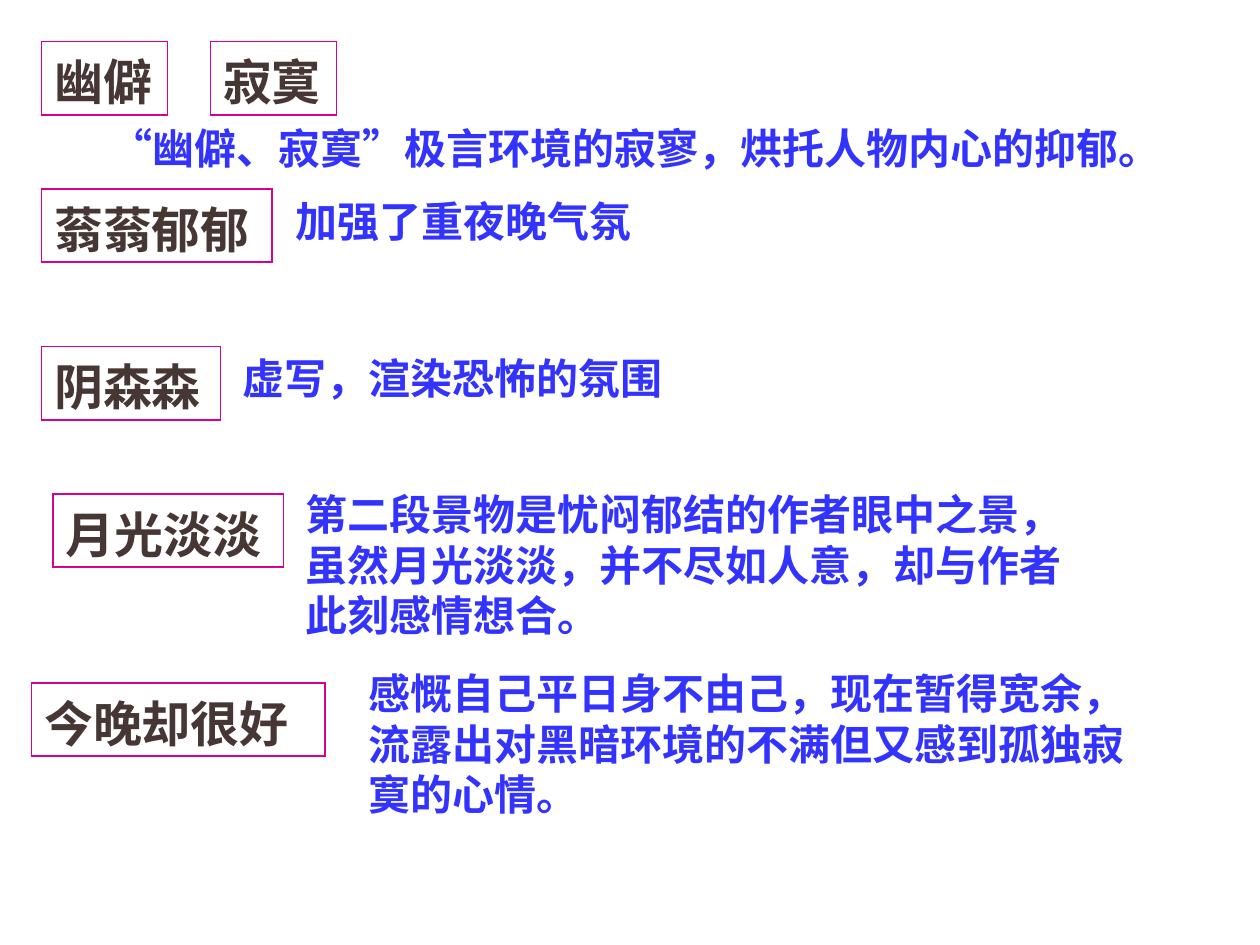
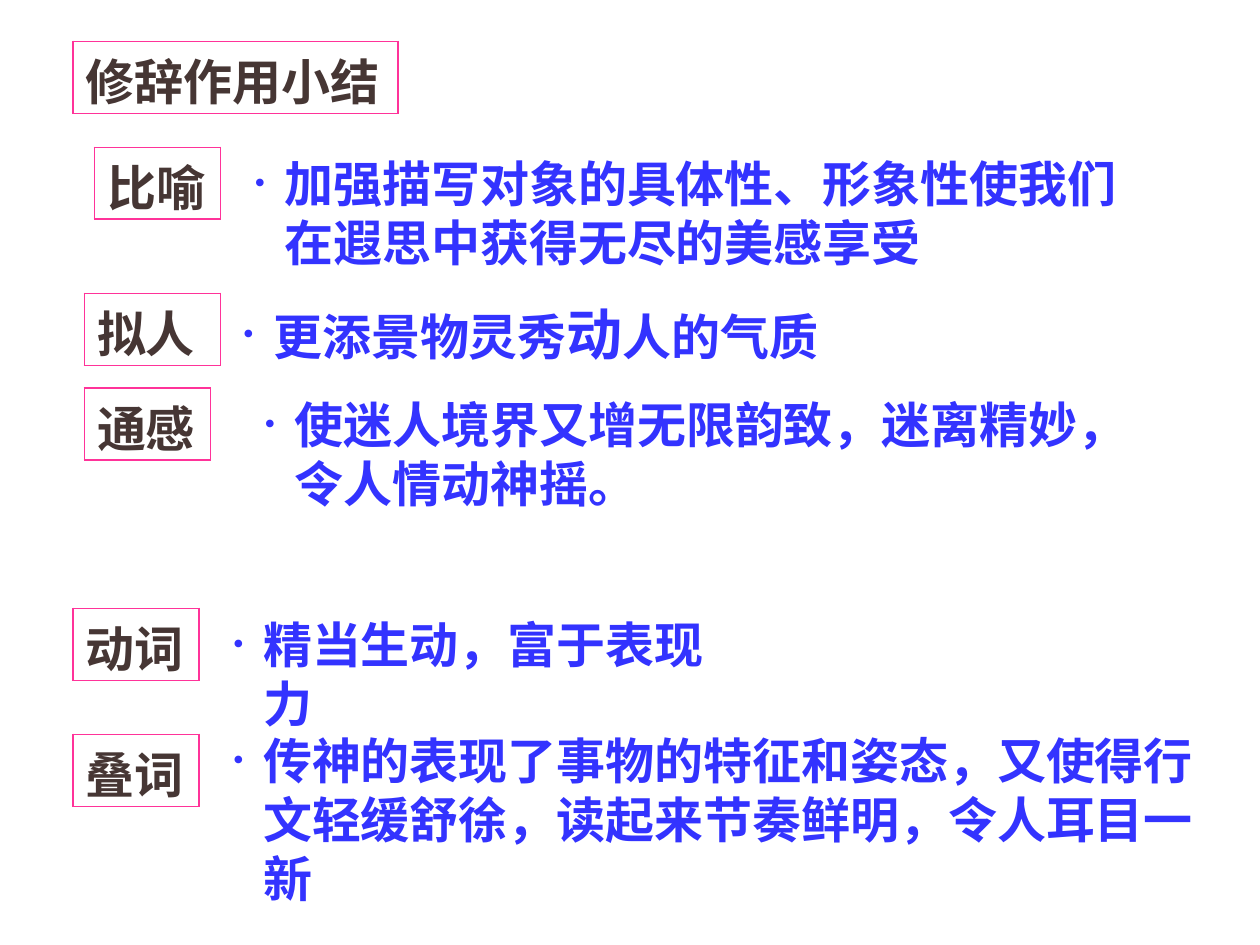
from dataclasses import dataclass

from lxml import etree
from pptx import Presentation
from pptx.dml.color import RGBColor
from pptx.enum import text as t
from pptx.oxml import ns
from pptx.util import Inches, Pt


@dataclass(frozen=True)
class Theme:
    font: str = "Times New Roman"
    label_color: str = "463634"
    note_color: str = "3333FF"
    word_border: str = "D60093"
    device_border: str = "FF3399"
    label_size: int = 28
    note_size: int = 24
    point_size: int = 28
    accent_size: int = 32
    border_width: float = 1.08


THEME = Theme()
ROW_HEIGHT = 0.57
HANGING = 0.24

# Word labels: left, top, width, wording
WORDS = [
    (0.33, 0.33, 1, "幽僻"),
    (1.67, 0.33, 1, "寂寞"),
    (0.33, 1.5, 1.83, "蓊蓊郁郁"),
    (0.33, 2.75, 1.42, "阴森森"),
    (0.42, 3.92, 1.83, "月光淡淡"),
    (0.25, 5.42, 2.33, "今晚却很好"),
]

# Explanations: left, top, width, height, first-line indent, wording
NOTES = [
    (0.33, 0.92, 9, 0.5, 0.45, "“幽僻、寂寞”极言环境的寂寥，烘托人物内心的抑郁。"),
    (2.25, 1.5, 3.5, 0.5, 0, "加强了重夜晚气氛"),
    (1.83, 2.75, 3.92, 0.5, 0, "虚写，渲染恐怖的氛围"),
    (2.33, 3.83, 6.5, 1.3, 0,
     "第二段景物是忧闷郁结的作者眼中之景，虽然月光淡淡，并不尽如人意，却与作者此刻感情想合。"),
    (2.83, 5.25, 6.5, 1.3, 0,
     "感慨自己平日身不由己，现在暂得宽余，流露出对黑暗环境的不满但又感到孤独寂寞的心情。"),
]

# Rhetorical devices: left, top, width, wording
DEVICES = [
    (0.58, 0.33, 2.58, "修辞作用小结"),
    (0.75, 1.17, 1, "比喻"),
    (0.67, 2.33, 1.08, "拟人"),
    (0.67, 3.08, 1, "通感"),
    (0.58, 4.83, 1, "动词"),
    (0.58, 5.83, 1, "叠词"),
]

# Effects: left, top, width, height, pieces of wording with their sizes
EFFECTS = [
    (1.92, 1.17, 7.33, 1.04,
     [("加强描写对象的具体性、形象性使我们在遐思中获得无尽的美感享受", THEME.point_size)]),
    (1.83, 2.33, 5.08, 0.64,
     [("更添景物灵秀", THEME.point_size), ("动", THEME.accent_size),
      ("人的气质", THEME.point_size)]),
    (2, 3.08, 7.35, 1.04,
     [("使迷人境界又增无限韵致，迷离精妙，令人情动神摇。", THEME.point_size)]),
    (1.75, 4.83, 4.25, 1.04, [("精当生动，富于表现力", THEME.point_size)]),
    (1.75, 5.75, 7.92, 1.5,
     [("传神的表现了事物的特征和姿态，又使得行文轻缓舒徐，读起来节奏鲜明，令人耳目一新",
       THEME.point_size)]),
]


def add_text(paragraph, wording, *, size, color, bold=True):
    run = paragraph.add_run()
    run.text = wording
    run.font.name = THEME.font
    run.font.size = Pt(size)
    run.font.bold = bold
    run.font.color.rgb = RGBColor.from_string(color)


def add_child(parent, tag, **attributes):
    child = etree.SubElement(parent, ns.qn(tag))
    for key, value in attributes.items():
        child.set(key, str(value))
    return child


def set_indent(paragraph, left, first):
    properties = paragraph._p.get_or_add_pPr()
    properties.set("marL", str(Inches(left)))
    properties.set("indent", str(Inches(first)))
    return properties


def set_bullet(paragraph):
    properties = set_indent(paragraph, HANGING, -HANGING)
    bullet_color = add_child(properties, "a:buClr")
    add_child(bullet_color, "a:srgbClr", val=THEME.note_color)
    add_child(properties, "a:buSzPct", val=65000)
    add_child(properties, "a:buFont", typeface=THEME.font)
    add_child(properties, "a:buChar", char="•")


def set_borders(cell, color):
    properties = cell._tc.get_or_add_tcPr()
    for position, side in enumerate(("a:lnL", "a:lnR", "a:lnT", "a:lnB")):
        edge = etree.Element(ns.qn(side), w=str(Pt(THEME.border_width)))
        add_child(add_child(edge, "a:solidFill"), "a:srgbClr", val=color)
        properties.insert(position, edge)


def add_label(slide, left, top, width, wording, border):
    table = slide.shapes.add_table(
        1, 1, Inches(left), Inches(top), Inches(width), Inches(ROW_HEIGHT)).table
    table.first_row = table.horz_banding = False
    cell = table.cell(0, 0)
    cell.fill.background()
    cell.margin_left = cell.margin_right = Inches(0.1)
    # Small vertical margins keep the line of text inside the row
    cell.margin_top, cell.margin_bottom = Inches(0.02), 0
    set_borders(cell, border)
    add_text(cell.text_frame.paragraphs[0], wording,
             size=THEME.label_size, color=THEME.label_color)


def add_box(slide, left, top, width, height):
    """Add a wrapping text box and return its first paragraph."""
    frame = slide.shapes.add_textbox(
        Inches(left), Inches(top), Inches(width), Inches(height)).text_frame
    frame.word_wrap = True
    frame.auto_size = t.MSO_AUTO_SIZE.SHAPE_TO_FIT_TEXT
    return frame.paragraphs[0]


def add_note(slide, left, top, width, height, indent, wording):
    note = add_box(slide, left, top, width, height)
    if indent:
        set_indent(note, 0, indent)
    add_text(note, wording, size=THEME.note_size, color=THEME.note_color)


def add_effect(slide, left, top, width, height, pieces):
    effect = add_box(slide, left, top, width, height)
    set_bullet(effect)
    for wording, size in pieces:
        add_text(effect, wording, size=size, color=THEME.note_color)


def main():
    deck = Presentation()
    deck.slide_width, deck.slide_height = Inches(10), Inches(7.5)
    blank = deck.slide_layouts[6]

    # Scenery words and what they express
    scenery = deck.slides.add_slide(blank)
    for word in WORDS:
        add_label(scenery, *word, THEME.word_border)
    for note in NOTES:
        add_note(scenery, *note)

    # Summary of rhetorical devices
    summary = deck.slides.add_slide(blank)
    for device in DEVICES:
        add_label(summary, *device, THEME.device_border)
    for effect in EFFECTS:
        add_effect(summary, *effect)

    deck.save("out.pptx")


if __name__ == "__main__":
    main()
